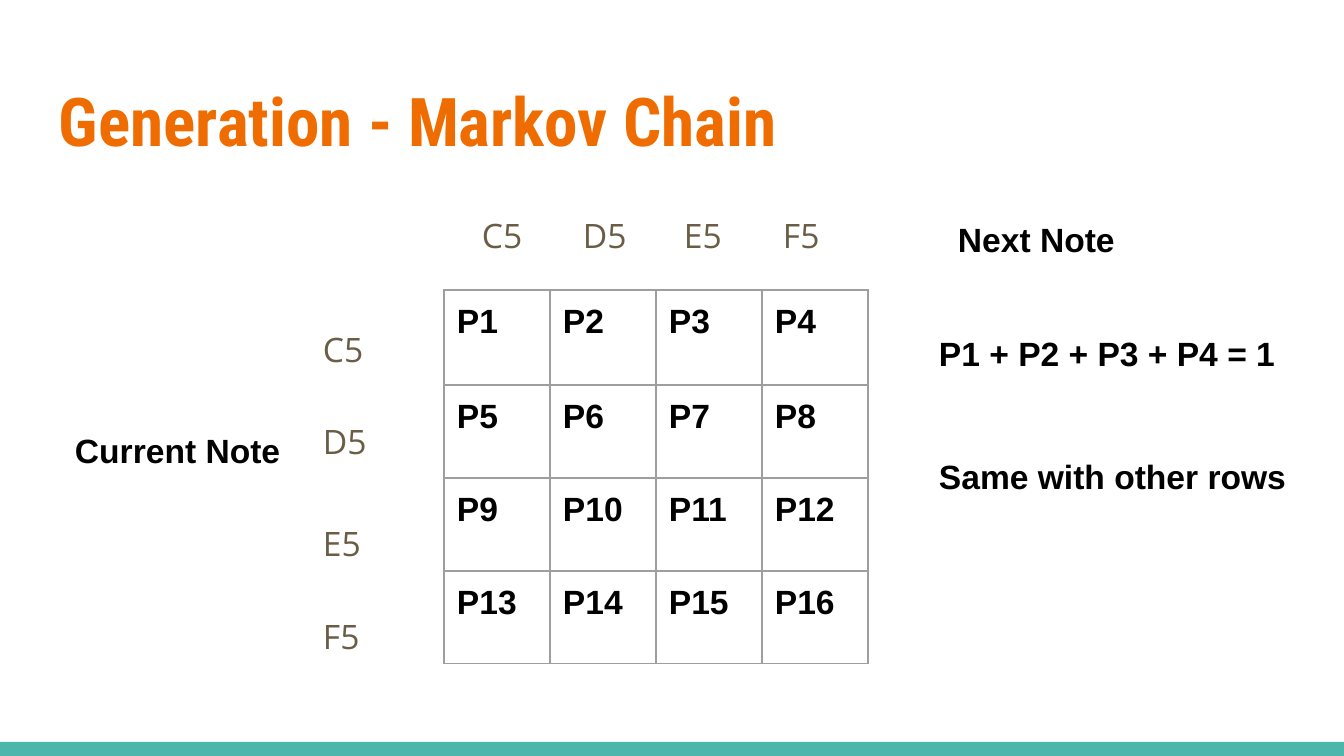
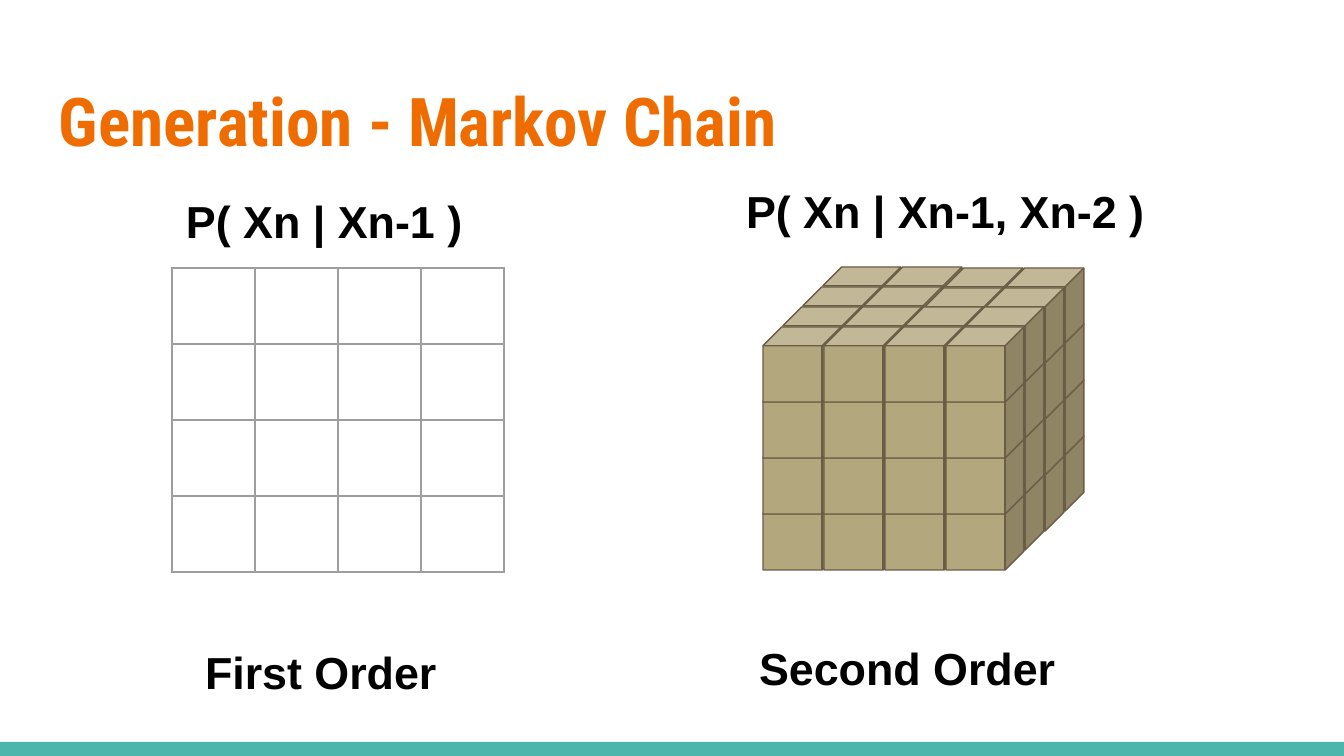
from pptx import Presentation
from pptx.dml.color import RGBColor
from pptx.enum.shapes import MSO_SHAPE as Kind
from pptx.enum.text import MSO_ANCHOR as Anchor, MSO_AUTO_SIZE as Fit, PP_ALIGN as Align
from pptx.oxml import parse_xml
from pptx.oxml.ns import nsdecls
from pptx.util import Emu, Pt

ORANGE = RGBColor(0xEF, 0x6C, 0x00)
TEAL = RGBColor(0x4D, 0xB6, 0xAC)
BROWN = RGBColor(0x69, 0x5D, 0x46)
SAND = RGBColor(0xB3, 0xA7, 0x7D)
BLACK = RGBColor(0, 0, 0)
GREY = RGBColor(0x9E, 0x9E, 0x9E)

TITLE = "Generation - Markov Chain"
NOTES = ["C5", "D5", "E5", "F5"]
SIDE = 4
PROBS = [[f"P{SIDE * row + col + 1}" for col in range(SIDE)] for row in range(SIDE)]
EMPTY = [[""] * SIDE for row in range(SIDE)]

COL_X = [469, 570, 671, 770]
ROW_Y = [310, 402, 504, 597]
NOTE_X, NOTE_Y = 310, 196

RULES = [
    (["Current Note"], (62, 417, 292, 48)),
    (["Next Note"], (945, 206, 292, 48)),
    (["P1 + P2 + P3 + P4 = 1", "Same with other rows"], (926, 320, 392, 215)),
]
ORDERS = [
    (["First Order"], (192, 632, 339, 103)),
    (["Second Order"], (746, 628, 339, 103)),
    (["P( Xn | Xn-1 )"], (173, 181, 375, 56)),
    (["P( Xn | Xn-1, Xn-2 )"], (733, 171, 464, 97)),
]

HEAD = {"name": "Roboto Condensed", "size": Pt(36), "bold": True}
NOTE = {"name": "Open Sans", "size": Pt(18), "bold": False}
RULE = {"name": "Arial", "size": Pt(18), "bold": True}
ORDER = {**RULE, "size": Pt(24)}

INSET = 13
CUBE_X, CUBE_Y, CUBE_W, CUBE_H = 763, 327, 78, 75
STEP_X, STEP_Y, DEPTH = 61, 56, 20


def px(num):
    return Emu(round(num * 914400 / 134.4))


def apply(thing, values):
    for key, value in values.items():
        setattr(thing, key, value)


def place(shape, box):
    apply(shape, dict(zip(("left", "top", "width", "height"), map(px, box))))


def pad(thing):
    for edge in ("left", "right", "top", "bottom"):
        setattr(thing, f"margin_{edge}", px(INSET))


def write(frame, lines, font, color, para=None):
    for num, line in enumerate(lines):
        par = frame.paragraphs[0] if num == 0 else frame.add_paragraph()
        par.alignment = Align.LEFT
        apply(par, para or {})
        if num:
            par.space_before = Pt(44)
        run = par.add_run()
        run.text = line
        apply(run.font, font)
        run.font.color.rgb = color


def setup(shape, lines, font, color, para=None):
    frame = shape.text_frame
    pad(frame)
    apply(frame, {"word_wrap": True, "auto_size": Fit.NONE, "vertical_anchor": Anchor.TOP})
    write(frame, lines, font, color, para)


def label(slide, lines, box, font, color=BLACK, para=None):
    setup(slide.shapes.add_textbox(*map(px, box)), lines, font, color, para)


def note(slide, text, left, top):
    para = {"line_spacing": 1.15, "space_after": Pt(16)}
    label(slide, [text], (left, top, 84, 67), NOTE, BROWN, para)


def block(slide, kind, box, fill):
    shape = slide.shapes.add_shape(kind, *map(px, box))
    shape.shadow.inherit = False
    shape.fill.solid()
    shape.fill.fore_color.rgb = fill
    return shape


def frame_cell(cell):
    props = cell._tc.get_or_add_tcPr()
    for edge in "LRTB":
        props.append(parse_xml(
            f'<a:ln{edge} {nsdecls("a")} w="9525"><a:solidFill>'
            f'<a:srgbClr val="{GREY}"/></a:solidFill></a:ln{edge}>'))
    cell.fill.background()


def grid(slide, rows, left, top, wide, highs):
    box = (left, top, wide * SIDE, sum(highs))
    table = slide.shapes.add_table(SIDE, SIDE, *map(px, box)).table
    apply(table, {"first_row": False, "horz_banding": False})
    for col in table.columns:
        col.width = px(wide)
    for row, high, texts in zip(table.rows, highs, rows):
        row.height = px(high)
        for cell, text in zip(row.cells, texts):
            pad(cell)
            frame_cell(cell)
            if text:
                write(cell.text_frame, [text], RULE, BLACK)


def stack(slide):
    for deep in reversed(range(SIDE)):
        for row in reversed(range(SIDE)):
            for col in range(SIDE):
                drop = 1 if deep > 1 and col > 1 else 0
                left = CUBE_X + STEP_X * col + DEPTH * deep
                top = CUBE_Y + STEP_Y * row - DEPTH * deep + drop
                cube = block(slide, Kind.CUBE, (left, top, CUBE_W, CUBE_H), SAND)
                cube.adjustments[0] = 0.25
                cube.line.color.rgb = BROWN
                cube.line.width = Pt(0.75)


def start(deck):
    slide = deck.slides.add_slide(deck.slide_layouts[5])
    title = slide.shapes.title
    place(title, (46, 66, 1252, 103))
    setup(title, [TITLE], HEAD, ORANGE)
    return slide


def share_band(deck, slide):
    band = block(slide, Kind.RECTANGLE, (0, 742, 1344, 14), TEAL)
    band.line.fill.background()
    band.element.nvSpPr.cNvPr.set("id", "99")
    deck.slide_master.shapes.element.append(band.element)


def chain(slide):
    grid(slide, PROBS, 444, 290, 106, [95, 93, 93, 93])
    for text, left, top in zip(NOTES, COL_X, ROW_Y):
        note(slide, text, left, NOTE_Y)
        note(slide, text, NOTE_X, top)
    for lines, box in RULES:
        label(slide, lines, box, RULE)


def orders(slide):
    grid(slide, EMPTY, 172, 268, 83, [76] * SIDE)
    stack(slide)
    for lines, box in ORDERS:
        label(slide, lines, box, ORDER)


def main():
    deck = Presentation()
    apply(deck, {"slide_width": px(1344), "slide_height": px(756)})
    first = start(deck)
    share_band(deck, first)
    chain(first)
    orders(start(deck))
    deck.save("out.pptx")


if __name__ == "__main__":
    main()
